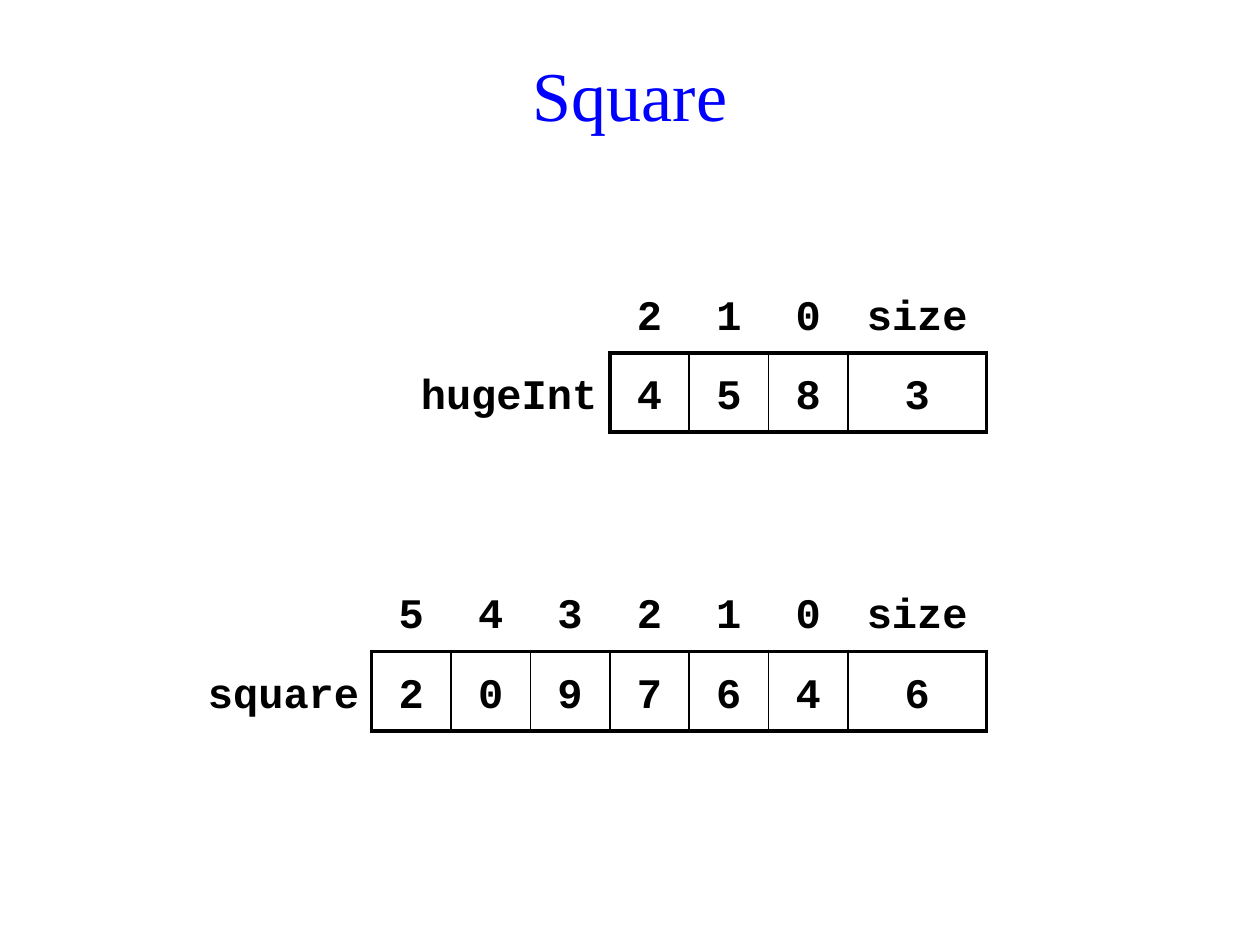
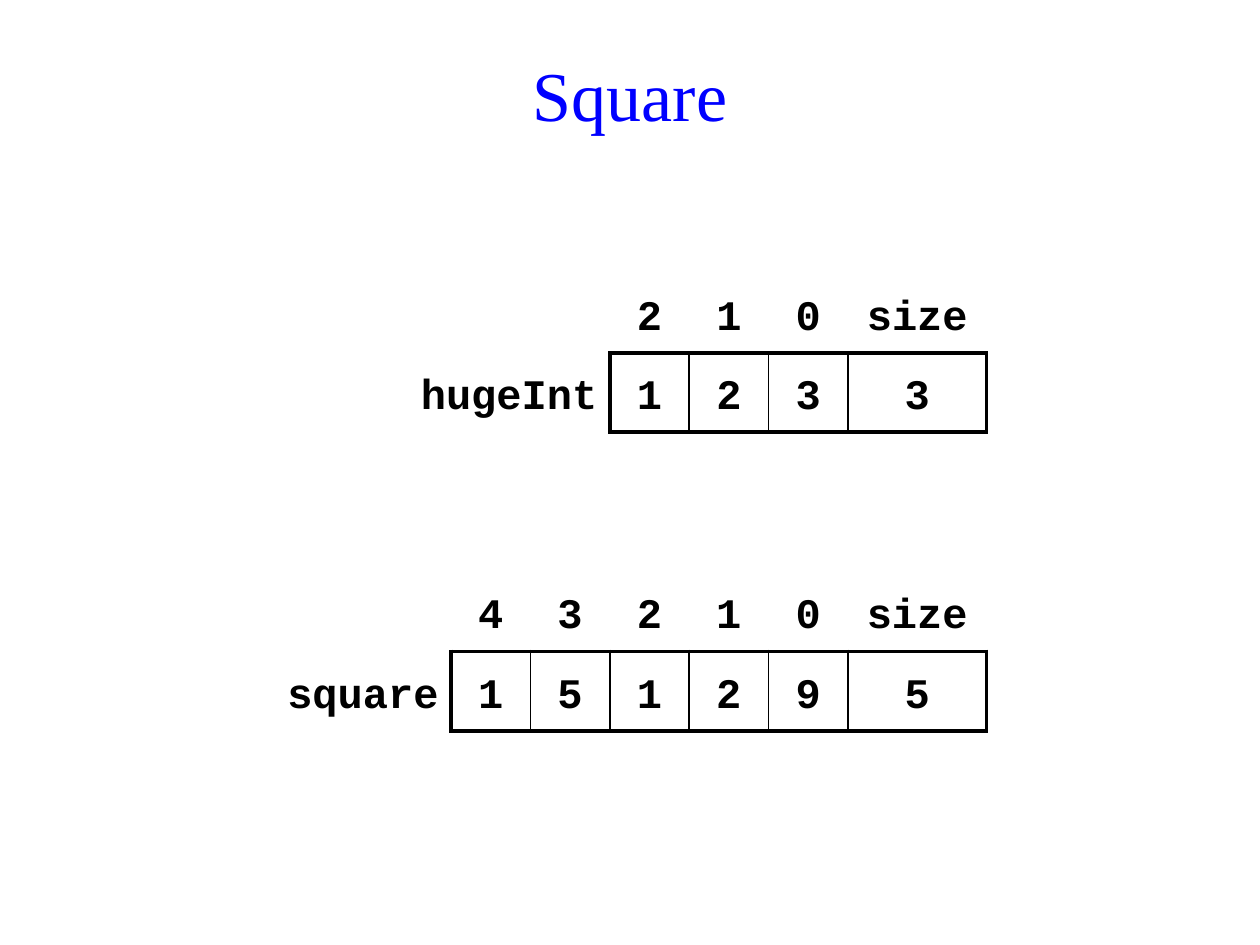
from lxml import etree
from pptx import Presentation
from pptx.dml.color import RGBColor
from pptx.enum.text import MSO_ANCHOR, PP_ALIGN
from pptx.oxml.ns import qn
from pptx.util import Inches, Pt

CENTER, RIGHT = PP_ALIGN.CENTER, PP_ALIGN.RIGHT
MIDDLE = MSO_ANCHOR.MIDDLE
BLACK, BLUE = "000000", "0000FF"
TITLE_FONT, CODE_FONT = "Times New Roman", "Courier New"
THICK, THIN = 2.25, 1
CELL_SIDE, SIZE_WIDTH = 0.63, 1.1
TABLE_RIGHT = 7.83
HUGE_INT_TOP, SQUARE_TOP = 2.17, 4.54
HUGE_INT_LABEL_WIDTH, SQUARE_LABEL_WIDTH = 1.73, 1.42


def color(hex_string):
    """Return the colour for a hex string."""
    return RGBColor.from_string(hex_string)


def style_font(paragraph, name, size, hex_string, bold=False):
    """Set the font of a whole paragraph."""
    font = paragraph.font
    font.name, font.size, font.bold = name, Pt(size), bold
    font.color.rgb = color(hex_string)


def add_title(slide, text):
    """Add the centred slide title."""
    box = slide.shapes.add_textbox(Inches(0.59), Inches(0.28), Inches(8.82), Inches(0.93))
    frame = box.text_frame
    frame.word_wrap = True
    frame.vertical_anchor = MIDDLE
    paragraph = frame.paragraphs[0]
    paragraph.text = text
    paragraph.alignment = CENTER
    style_font(paragraph, TITLE_FONT, 40, BLUE)


def set_borders(cell, widths):
    """Draw the given sides of a cell in black and hide the others."""
    properties = cell._tc.get_or_add_tcPr()
    for side in "LRTB":
        line = etree.SubElement(properties, qn(f"a:ln{side}"))
        if side in widths:
            line.set("w", str(Pt(widths[side])))
            fill = etree.SubElement(line, qn("a:solidFill"))
            etree.SubElement(fill, qn("a:srgbClr")).set("val", BLACK)
        else:
            etree.SubElement(line, qn("a:noFill"))


def fill_cell(cell, text, alignment, borders):
    """Write one table cell with its borders."""
    set_borders(cell, borders)
    cell.fill.background()
    cell.vertical_anchor = MIDDLE
    paragraph = cell.text_frame.paragraphs[0]
    paragraph.text = text
    paragraph.alignment = alignment
    paragraph.line_spacing = 1.25
    style_font(paragraph, CODE_FONT, 24, BLACK, bold=True)


def add_digit_array(slide, label, digits, top, label_width):
    """Add a labelled digit array with its indices and its size."""
    count = len(digits)
    widths = [label_width] + [CELL_SIDE] * count + [SIZE_WIDTH]
    indices = [str(index) for index in reversed(range(count))]
    headings = ["", *indices, "size"]
    values = [label, *digits, str(count)]
    frame = slide.shapes.add_table(
        2, len(widths), Inches(TABLE_RIGHT - sum(widths)), Inches(top),
        Inches(sum(widths)), Inches(2 * CELL_SIDE))
    table = frame.table
    table.first_row = table.horz_banding = False
    for row in table.rows:
        row.height = Inches(CELL_SIDE)
    last = len(widths) - 1
    for column, width in enumerate(widths):
        table.columns[column].width = Inches(width)
        heading_borders, value_borders = {}, {"R": THICK}
        if column > 0:
            heading_borders = {"B": THICK}
            value_borders = {
                "L": THICK if column == 1 else THIN,
                "R": THICK if column == last else THIN,
                "T": THICK,
                "B": THICK,
            }
        fill_cell(table.cell(0, column), headings[column], CENTER, heading_borders)
        fill_cell(table.cell(1, column), values[column],
                  CENTER if column else RIGHT, value_borders)


def add_square_slide(presentation, number):
    """Add a slide that shows a number and its square as digit arrays."""
    slide = presentation.slides.add_slide(presentation.slide_layouts[6])
    add_title(slide, "Square")
    add_digit_array(slide, "hugeInt", str(number), HUGE_INT_TOP, HUGE_INT_LABEL_WIDTH)
    add_digit_array(slide, "square", str(number ** 2), SQUARE_TOP, SQUARE_LABEL_WIDTH)


def main():
    """Build and save the presentation."""
    presentation = Presentation()
    presentation.slide_width, presentation.slide_height = Inches(10), Inches(7.5)
    for number in (458, 123):
        add_square_slide(presentation, number)
    presentation.save("out.pptx")


if __name__ == "__main__":
    main()
